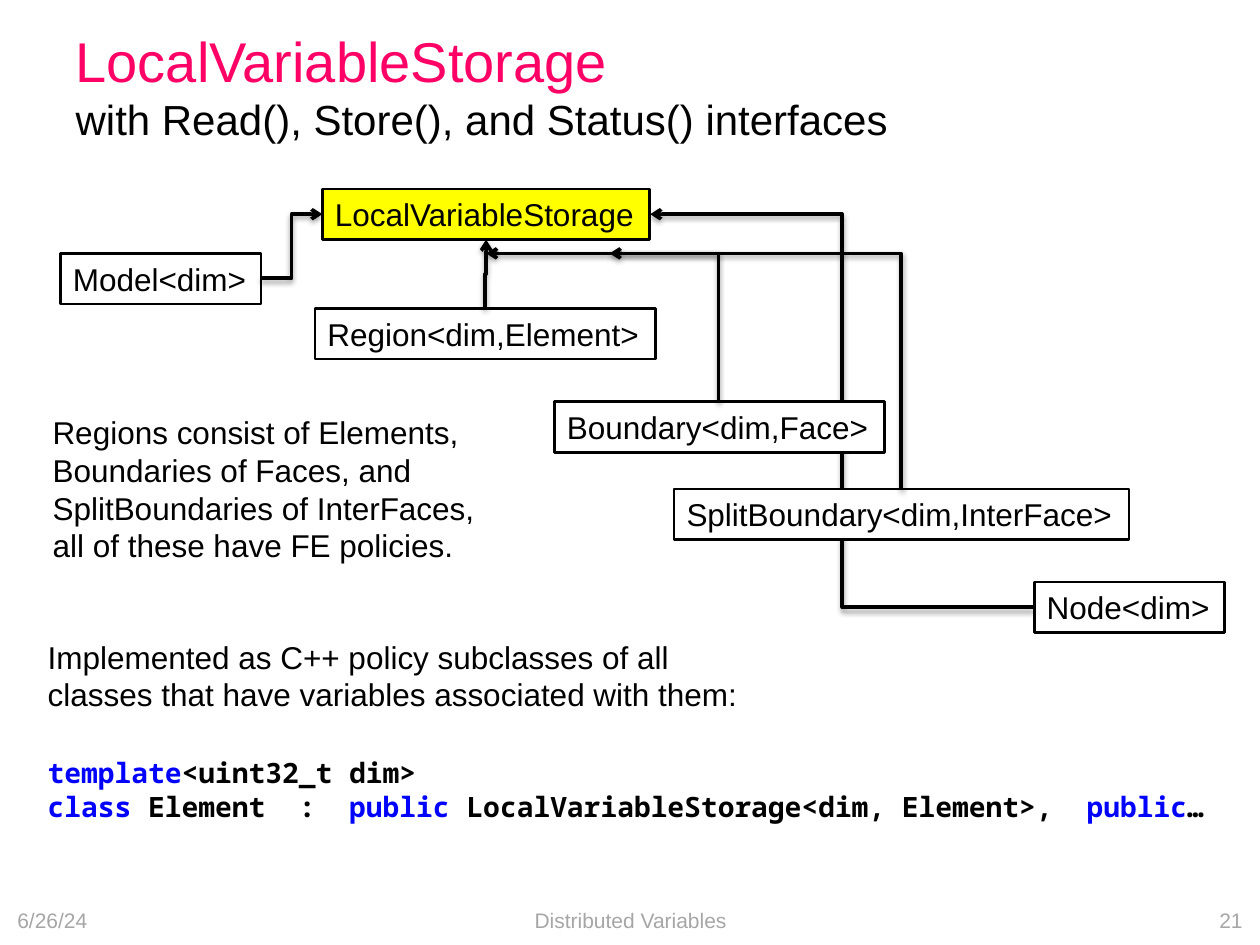
from dataclasses import dataclass

import lxml.etree
import pptx
import pptx.dml.color
import pptx.enum.shapes
import pptx.enum.text
import pptx.oxml
import pptx.oxml.ns
import pptx.util

Cm = pptx.util.Cm
Pt = pptx.util.Pt
RGBColor = pptx.dml.color.RGBColor
Align = pptx.enum.text.PP_ALIGN
Anchor = pptx.enum.text.MSO_ANCHOR
AutoSize = pptx.enum.text.MSO_AUTO_SIZE

BLACK = RGBColor(0x00, 0x00, 0x00)
WHITE = RGBColor(0xFF, 0xFF, 0xFF)
YELLOW = RGBColor(0xFF, 0xFF, 0x00)
PINK = RGBColor(0xFF, 0x00, 0x66)
BLUE = RGBColor(0x00, 0x00, 0xFF)
GREY = RGBColor(0xA6, 0xA6, 0xA6)

BOX_HEIGHT = 1.02
FOOTER_TOP = 18.03
SHADOW = (
    '<a:effectLst xmlns:a="http://schemas.openxmlformats.org/drawingml/2006/main">'
    '<a:outerShdw blurRad="40000" dist="20000" dir="5400000" rotWithShape="0">'
    '<a:srgbClr val="000000"><a:alpha val="38000"/></a:srgbClr>'
    '</a:outerShdw></a:effectLst>'
)


@dataclass
class Span:
    text: str
    color: RGBColor = BLACK


@dataclass
class ClassBox:
    name: str
    left: float
    top: float
    width: float
    fill: RGBColor = WHITE


@dataclass
class Arrow:
    start: tuple[float, float]
    end: tuple[float, float]
    upward_first: bool = False
    preset: str = "bentConnector3"


@dataclass
class TextBlock:
    left: float
    top: float
    width: float
    height: float
    lines: list[list[Span]]
    size: int = 18
    font: str = "Arial"
    bold: bool = False


@dataclass
class FooterItem:
    text: str
    left: float
    width: float
    align: Align


NODE_ARROW = Arrow((20.85, 12.24), (13.11, 4.32))
CLASS_BOXES = [
    ClassBox("LocalVariableStorage", 6.5, 3.81, 6.6, YELLOW),
    ClassBox("Region<dim,Element>", 6.35, 6.22, 6.86),
    ClassBox("Boundary<dim,Face>", 11.18, 8.1, 6.65),
    ClassBox("SplitBoundary<dim,InterFace>", 13.59, 9.86, 9.17),
    ClassBox("Node<dim>", 20.85, 11.73, 3.84),
    ClassBox("Model<dim>", 1.22, 5.11, 4.04),
]
ARROWS = [
    Arrow((5.26, 5.61), (6.5, 4.32)),
    Arrow((9.78, 6.22), (9.8, 4.83), True),
    Arrow((14.48, 8.1), (9.8, 5.11), True, "bentConnector2"),
    Arrow((18.16, 9.86), (12.29, 5.11), True, "bentConnector2"),
]
TEXT_BLOCKS = [
    TextBlock(0.71, 15.11, 24.1, 1.63, [
        [Span("template", BLUE), Span("<uint32_t dim>")],
        [Span("class", BLUE), Span(" Element  :  "), Span("public ", BLUE),
         Span("LocalVariableStorage<dim, Element>,  "), Span("public", BLUE), Span("…")],
    ], 16, "Noto Sans Mono", True),
    TextBlock(0.71, 12.73, 14.55, 1.8, [
        [Span("Implemented as C++ policy subclasses of all")],
        [Span("classes that have variables associated with them:")],
    ]),
    TextBlock(0.81, 8.2, 9.09, 3.33, [
        [Span("Regions consist of Elements,")],
        [Span("Boundaries of Faces, and")],
        [Span("SplitBoundaries of InterFaces,")],
        [Span("all of these have FE policies.")],
    ]),
]
FOOTER = [
    FooterItem("21", 19.38, 5.92, Align.RIGHT),
    FooterItem("6/26/24", 0.1, 5.92, Align.LEFT),
    FooterItem("Distributed Variables", 8.69, 8.05, Align.CENTER),
]


def add_span(para, span: Span, size: int, font: str = "Arial", bold: bool = False) -> None:
    run = para.add_run()
    run.text = span.text
    run.font.size = Pt(size)
    run.font.name = font
    run.font.bold = bold
    run.font.color.rgb = span.color


def draw_title(page) -> None:
    title = page.shapes.title
    title.left, title.top = Cm(1.27), Cm(0.13)
    title.width, title.height = Cm(22.86), Cm(3.18)
    frame = title.text_frame
    frame.auto_size = AutoSize.NONE
    frame.vertical_anchor = Anchor.MIDDLE
    para = frame.paragraphs[0]
    para.alignment = Align.LEFT
    add_span(para, Span("LocalVariableStorage", PINK), 32)
    para.add_line_break()
    add_span(para, Span("with Read(), Store(), and Status() interfaces"), 24)


def draw_class_box(page, box: ClassBox) -> None:
    shape = page.shapes.add_shape(
        pptx.enum.shapes.MSO_SHAPE.RECTANGLE,
        Cm(box.left), Cm(box.top), Cm(box.width), Cm(BOX_HEIGHT))
    shape.shadow.inherit = False
    shape.fill.solid()
    shape.fill.fore_color.rgb = box.fill
    shape.line.color.rgb = BLACK
    shape.line.width = Pt(1.5)
    frame = shape.text_frame
    frame.word_wrap = False
    frame.auto_size = AutoSize.SHAPE_TO_FIT_TEXT
    frame.vertical_anchor = Anchor.TOP
    para = frame.paragraphs[0]
    para.alignment = Align.LEFT
    add_span(para, Span(box.name), 18)


def draw_arrow(page, arrow: Arrow) -> None:
    (x1, y1), (x2, y2) = arrow.start, arrow.end
    if arrow.upward_first:
        middle_x, middle_y = (x1 + x2) / 2, (y1 + y2) / 2
        rise, run = y1 - y2, x2 - x1
        x1, x2 = middle_x - rise / 2, middle_x + rise / 2
        y1, y2 = middle_y - run / 2, middle_y + run / 2
    connector = page.shapes.add_connector(
        pptx.enum.shapes.MSO_CONNECTOR.ELBOW, Cm(x1), Cm(y1), Cm(x2), Cm(y2))
    connector.line.color.rgb = BLACK
    connector.line.width = Pt(2)
    properties = connector._element.spPr
    if arrow.upward_first:
        properties.find(pptx.oxml.ns.qn("a:xfrm")).set("rot", "16200000")
    properties.find(pptx.oxml.ns.qn("a:prstGeom")).set("prst", arrow.preset)
    line = properties.find(pptx.oxml.ns.qn("a:ln"))
    lxml.etree.SubElement(line, pptx.oxml.ns.qn("a:tailEnd"), type="arrow")
    properties.append(pptx.oxml.parse_xml(SHADOW))


def draw_text_block(page, block: TextBlock) -> None:
    box = page.shapes.add_textbox(
        Cm(block.left), Cm(block.top), Cm(block.width), Cm(block.height))
    frame = box.text_frame
    frame.word_wrap = False
    frame.auto_size = AutoSize.SHAPE_TO_FIT_TEXT
    for index, line in enumerate(block.lines):
        para = frame.add_paragraph() if index else frame.paragraphs[0]
        for span in line:
            add_span(para, span, block.size, block.font, block.bold)


def draw_footer_item(page, item: FooterItem) -> None:
    box = page.shapes.add_textbox(
        Cm(item.left), Cm(FOOTER_TOP), Cm(item.width), Cm(BOX_HEIGHT))
    frame = box.text_frame
    frame.word_wrap = True
    frame.vertical_anchor = Anchor.MIDDLE
    para = frame.paragraphs[0]
    para.alignment = item.align
    add_span(para, Span(item.text, GREY), 12)


def main() -> None:
    deck = pptx.Presentation()
    deck.slide_width, deck.slide_height = Cm(25.4), Cm(19.05)
    page = deck.slides.add_slide(deck.slide_layouts[5])
    draw_title(page)
    draw_arrow(page, NODE_ARROW)
    for box in CLASS_BOXES:
        draw_class_box(page, box)
    for arrow in ARROWS:
        draw_arrow(page, arrow)
    for block in TEXT_BLOCKS:
        draw_text_block(page, block)
    for item in FOOTER:
        draw_footer_item(page, item)
    deck.save("out.pptx")


if __name__ == "__main__":
    main()
